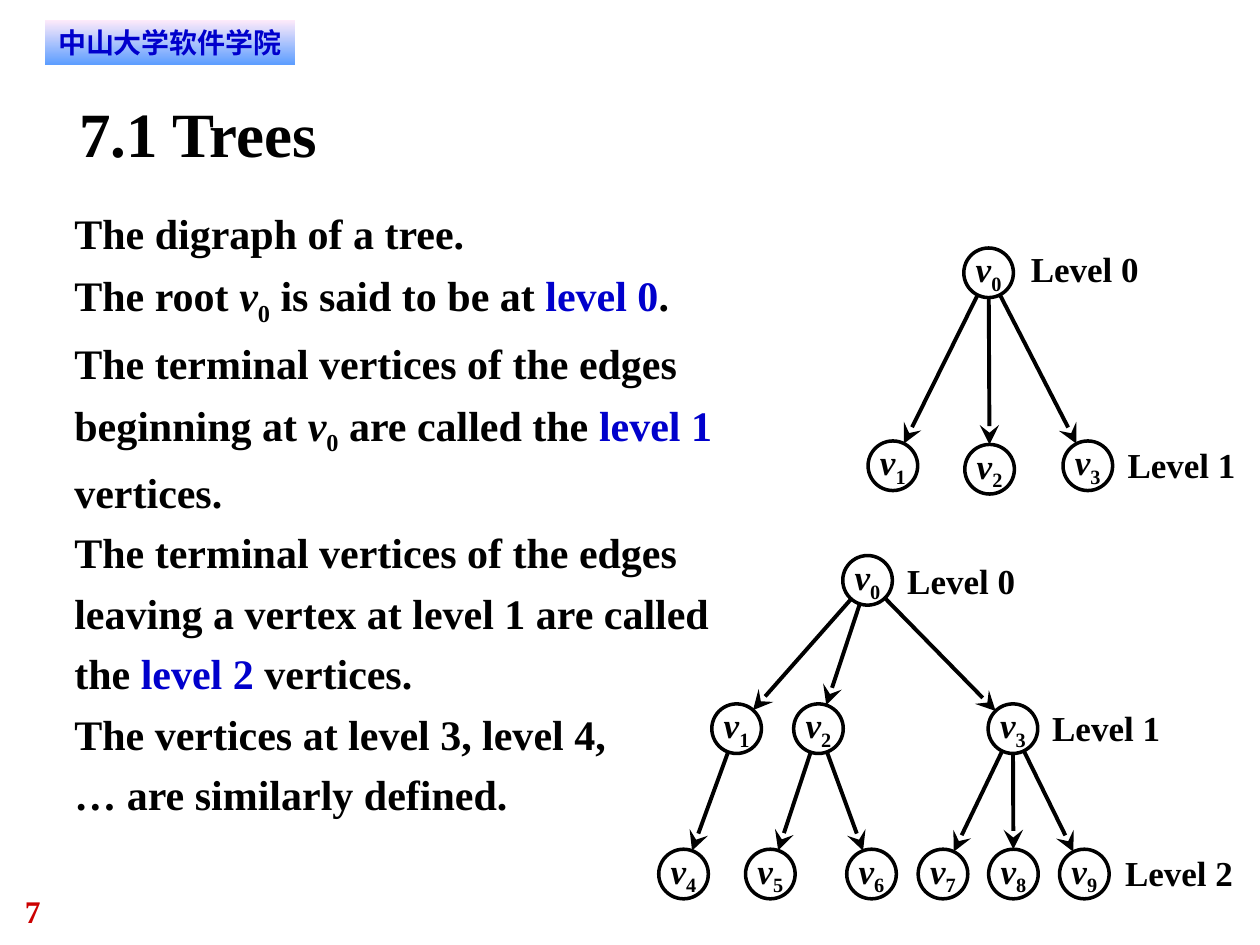
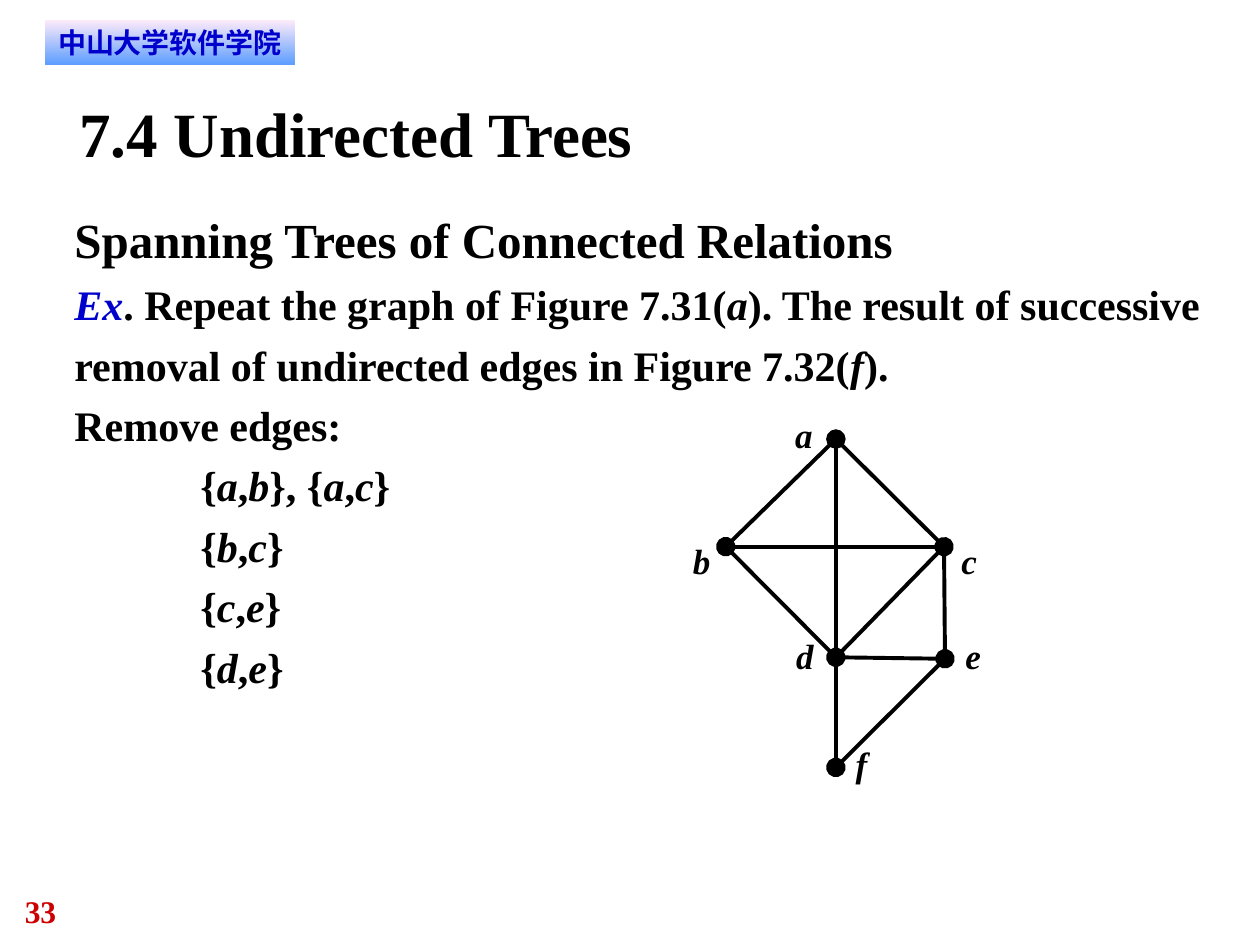
from math import hypot

from lxml.etree import SubElement
from pptx import Presentation
from pptx.dml.color import RGBColor
from pptx.enum.shapes import MSO_CONNECTOR, MSO_SHAPE
from pptx.enum.text import MSO_ANCHOR, PP_ALIGN
from pptx.oxml.ns import qn
from pptx.util import Cm, Pt

SERIF = "Times New Roman"
BLACK, BLUE, RED = "000000", "0000CC", "CC0000"
BAND_TOP, BAND_BOTTOM = "FFEBFA", "5E9EFF"
rgb = RGBColor.from_string


def write(shape, paragraphs, size, color=BLACK, font=SERIF, align=PP_ALIGN.LEFT,
          spacing=1.0, wrap=True, margins=(0, 0)):
    """Fill a shape with paragraphs, each a list of runs.

    A run is a string, or a (string, style) pair: "i" italic, "s" subscript,
    "h" blue, "hi" blue italic. A newline is a line break.
    """
    frame = shape.text_frame
    frame.word_wrap = wrap
    frame.margin_left = frame.margin_right = Cm(margins[0])
    frame.margin_top = frame.margin_bottom = Cm(margins[1])
    for index, runs in enumerate(paragraphs):
        paragraph = frame.paragraphs[0] if index == 0 else frame.add_paragraph()
        paragraph.alignment = align
        paragraph.line_spacing = spacing
        for item in runs:
            text, style = (item, "") if isinstance(item, str) else item
            for number, line in enumerate(text.split("\n")):
                if number:
                    paragraph.add_line_break()
                run = paragraph.add_run()
                run.text = line
                run.font.name = font
                run.font.size = Pt(size)
                run.font.bold = True
                run.font.italic = "i" in style
                run.font.color.rgb = rgb(BLUE if "h" in style else color)
                if "s" in style:
                    run.font._element.set("baseline", "-25000")


def draw_edge(shapes, start, end, **ends):
    """Draw a line between two points in cm; ends maps headEnd or tailEnd to a type."""
    edge = shapes.add_connector(MSO_CONNECTOR.STRAIGHT, *map(Cm, (*start, *end)))
    edge.line.color.rgb = rgb(BLACK)
    edge.line.width = Pt(2.25)
    line_xml = edge.line._get_or_add_ln()
    for tag, kind in ends.items():
        SubElement(line_xml, qn(f"a:{tag}"), type=kind, w="lg", len="lg")
    SubElement(edge._element.spPr, qn("a:effectLst"))


presentation = Presentation()
presentation.slide_width, presentation.slide_height = Cm(25.4), Cm(19.05)

# Shared frame: page number, school band, title
slides = []
for number, title in [("7", "7.1 Trees"), ("33", "7.4 Undirected Trees")]:
    slide = presentation.slides.add_slide(presentation.slide_layouts[6])
    slides.append(slide)
    page_box = slide.shapes.add_textbox(Cm(0.5), Cm(17.98), Cm(1.9), Cm(0.76))
    write(page_box, [[number]], 18, RED)

    band = slide.shapes.add_shape(MSO_SHAPE.RECTANGLE, Cm(0.9), Cm(0.4), Cm(5.05), Cm(0.9))
    band.shadow.inherit = False
    band.line.fill.background()
    band.fill.gradient()
    band.fill.gradient_angle = 270
    for stop, color in zip(band.fill.gradient_stops, (BAND_TOP, BAND_BOTTOM)):
        stop.color.rgb = rgb(color)
    for stop, position in zip(band.fill.gradient_stops, (0, 1)):
        stop.position = position
    write(band, [["中山大学软件学院"]], 16, BLUE, "DejaVu Sans", PP_ALIGN.CENTER,
          margins=(0.2, 0.1))

    title_box = slide.shapes.add_textbox(Cm(1.6), Cm(1.9), Cm(22.22), Cm(1.52))
    write(title_box, [[title]], 36)

trees_slide, spanning_slide = slides

# 7.1 Trees
V0 = [("v", "i"), ("0", "s")]
body = trees_slide.shapes.add_textbox(Cm(1.5), Cm(3.99), Cm(13.44), Cm(12.52))
write(body, [
    ["The digraph of a tree."],
    ["The root ", *V0, " is said to be at ", ("level 0", "h"), "."],
    ["The terminal vertices of the edges beginning at ", *V0, " are called the ",
     ("level 1", "h"), " vertices."],
    ["The terminal vertices of the edges\nleaving a vertex at level 1 are called\nthe ",
     ("level 2", "h"), " vertices."],
    ["The vertices at level 3, level 4,\n… are similarly defined."],
], 24, spacing=1.2)

for level, left, top in [(0, 20.78, 4.98), (1, 22.73, 8.94),
                         (0, 18.29, 11.28), (1, 21.21, 14.25), (2, 22.68, 17.17)]:
    label = trees_slide.shapes.add_textbox(Cm(left), Cm(top), Cm(2.18), Cm(0.84))
    write(label, [[f"Level {level}"]], 20, wrap=False)

# Each tree: vertex centres by number, then children by parent
RADIUS = 0.5
trees = [
    ({0: (19.93, 5.5), 1: (18, 9.39), 2: (19.95, 9.46), 3: (21.93, 9.39)},
     {0: (1, 2, 3)}),
    ({0: (17.49, 11.7), 1: (14.85, 14.69), 2: (16.5, 14.69), 3: (20.42, 14.69),
      4: (13.78, 17.62), 5: (15.53, 17.62), 6: (17.57, 17.62), 7: (19.01, 17.62),
      8: (20.43, 17.62), 9: (21.86, 17.62)},
     {0: (1, 2, 3), 1: (4,), 2: (5, 6), 3: (7, 8, 9)}),
]
for centres, children in trees:
    tree = trees_slide.shapes.add_group_shape().shapes
    for parent, kids in children.items():
        for kid in kids:
            (x1, y1), (x2, y2) = centres[parent], centres[kid]
            distance = hypot(x2 - x1, y2 - y1)
            dx, dy = (x2 - x1) * RADIUS / distance, (y2 - y1) * RADIUS / distance
            draw_edge(tree, (x1 + dx, y1 + dy), (x2 - dx, y2 - dy), tailEnd="stealth")
    for vertex, (x, y) in centres.items():
        circle = tree.add_shape(MSO_SHAPE.OVAL, Cm(x - RADIUS), Cm(y - RADIUS),
                                Cm(2 * RADIUS), Cm(2 * RADIUS))
        circle.shadow.inherit = False
        circle.fill.background()
        circle.line.color.rgb = rgb(BLACK)
        circle.line.width = Pt(2)
        circle.text_frame.vertical_anchor = MSO_ANCHOR.MIDDLE
        write(circle, [[("v", "i"), (str(vertex), "s")]], 20,
              align=PP_ALIGN.CENTER, spacing=0.7)

# 7.4 Undirected Trees
removals = [["ab", "ac"], ["bc"], ["ce"], ["de"]]
removal_lines = []
for pairs in removals:
    runs = []
    for first, second in pairs:
        runs += [", {" if runs else "{", (first, "i"), ",", (second, "i"), "}"]
    removal_lines.append(runs)

body = spanning_slide.shapes.add_textbox(Cm(1.5), Cm(3.99), Cm(22.75), Cm(9.96))
write(body, [
    ["Spanning Trees of Connected Relations"],
    [("Ex", "hi"), ". Repeat the graph of Figure 7.31(", ("a", "i"),
     "). The result of successive removal of undirected edges in Figure 7.32(",
     ("f", "i"), ")."],
    ["Remove edges:"],
    *removal_lines,
], 24, spacing=1.2)
heading, *others = body.text_frame.paragraphs
heading.runs[0].font.size = Pt(28)
for paragraph in others[-len(removals):]:
    paragraph._p.get_or_add_pPr().set("marL", str(Cm(2.54)))

points = {"a": (16.85, 8.85), "b": (14.63, 11.02), "c": (19.03, 11.02),
          "d": (16.85, 13.25), "e": (19.05, 13.28), "f": (16.85, 15.47)}
HEAD, BOTH = {"headEnd": "oval"}, {"headEnd": "oval", "tailEnd": "oval"}
for (start, end), dots in [("bc", {}), ("bd", HEAD), ("cd", BOTH), ("ac", {}), ("ab", {}),
                           ("ad", HEAD), ("df", {}), ("ce", {}), ("ef", BOTH), ("de", {})]:
    draw_edge(spanning_slide.shapes, points[start], points[end], **dots)

for name, left, top in [("a", 16.03, 8.33), ("b", 13.97, 10.87), ("c", 19.38, 10.87),
                        ("d", 16.05, 12.8), ("e", 19.46, 12.8), ("f", 17.25, 14.96)]:
    label = spanning_slide.shapes.add_textbox(Cm(left), Cm(top), Cm(0.36), Cm(0.84))
    write(label, [[(name, "i")]], 20, align=PP_ALIGN.JUSTIFY, wrap=False)

presentation.save("out.pptx")
